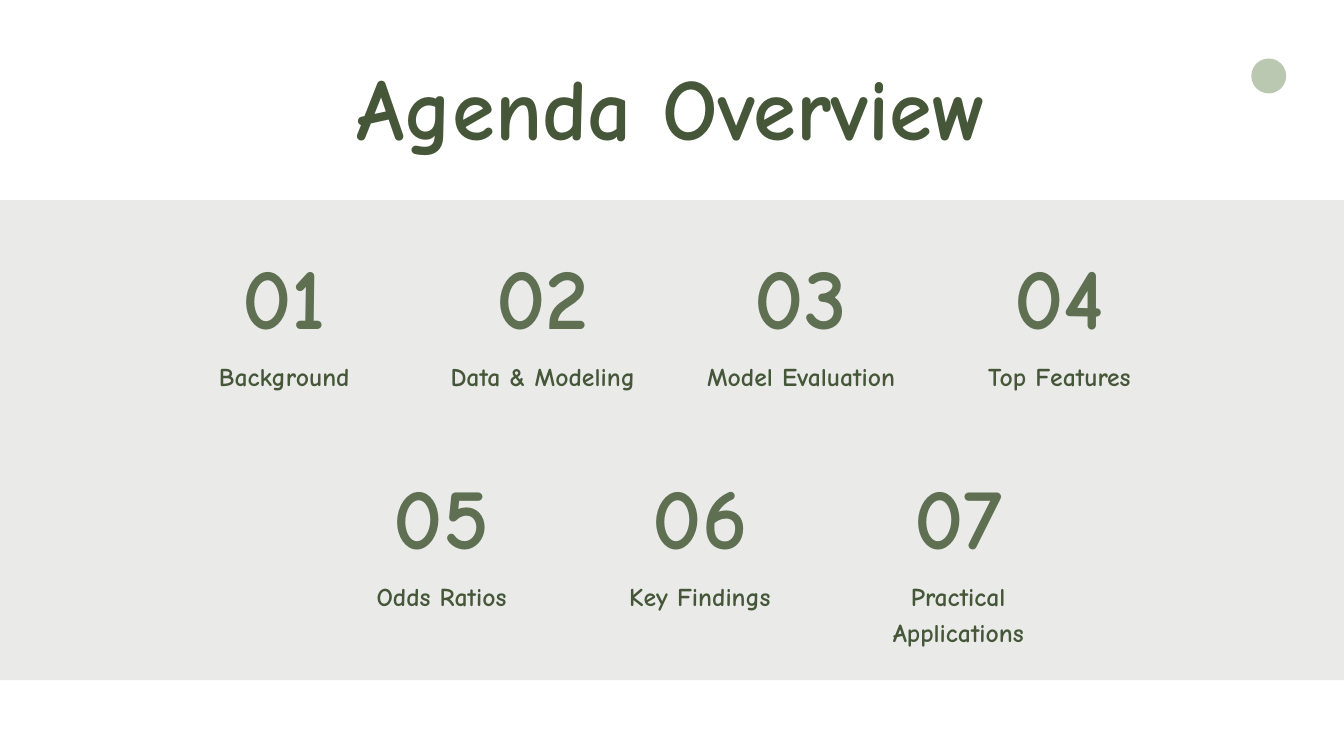
from pptx import Presentation
from pptx.dml.color import RGBColor
from pptx.enum.shapes import MSO_SHAPE as Shape
from pptx.enum.text import PP_ALIGN as Align
from pptx.util import Inches, Pt

DARK = RGBColor(0x46, 0x57, 0x39)
MOSS = RGBColor(0x5F, 0x6F, 0x52)
SAGE = RGBColor(0xBB, 0xC8, 0xB1)
GREY = RGBColor(0xEA, 0xEB, 0xE9)

FONT = "Comic Neue"
ITEM_W = 3.02   # width of one agenda item
PITCH = 3.845   # step from one item to the next
ROWS = [        # left, top, topics
    (2.72, 3.36, ["Background", "Data & Modeling", "Model Evaluation",
                  "Top Features"]),
    (5.06, 6.63, ["Odds Ratios", "Key Findings", "Practical Applications"]),
]


def add_text(slide, text, left, top, width, height, size, lead, color):
    box = slide.shapes.add_textbox(
        Inches(left), Inches(top), Inches(width), Inches(height))
    frame = box.text_frame
    frame.word_wrap = True
    frame.margin_left = frame.margin_right = 0
    frame.margin_top = frame.margin_bottom = 0
    para = frame.paragraphs[0]
    para.text = text
    para.alignment = Align.CENTER
    para.line_spacing = Pt(lead)
    font = para.font
    font.name, font.size, font.bold = FONT, Pt(size), True
    font.color.rgb = color


def add_fill(slide, kind, left, top, width, height, color):
    shape = slide.shapes.add_shape(
        kind, Inches(left), Inches(top), Inches(width), Inches(height))
    shape.shadow.inherit = False
    shape.fill.solid()
    shape.fill.fore_color.rgb = color
    shape.line.fill.background()


def add_header(slide, left, top, width, height):
    add_text(slide, "Agenda Overview", left, top, width, height,
             93.2, 130.5, DARK)
    # Accent dot in the right corner
    add_fill(slide, Shape.OVAL, 18.62, 0.87, 0.52, 0.52, SAGE)


def add_item(slide, num, topic, left, top):
    inset = 0.36
    add_text(slide, f"{num:02}", left + inset, top, ITEM_W - 2 * inset, 1.73,
             92.7, 129.7, MOSS)
    add_text(slide, topic, left, top + 1.94, ITEM_W, 1.08, 27.5, 38.5, DARK)


def add_agenda(slide, left, top, width, height):
    add_fill(slide, Shape.RECTANGLE, left, top, width, height, GREY)
    num = 1
    for start, row_top, topics in ROWS:
        for col, topic in enumerate(topics):
            add_item(slide, num, topic, start + col * PITCH, row_top)
            num += 1


def main():
    deck = Presentation()
    deck.slide_width, deck.slide_height = Inches(20), Inches(11.25)
    slide = deck.slides.add_slide(deck.slide_layouts[6])
    add_agenda(slide, 0, 2.98, 20, 7.14)
    add_header(slide, 3.08, 0.54, 13.83, 1.83)
    deck.save("out.pptx")


if __name__ == "__main__":
    main()
